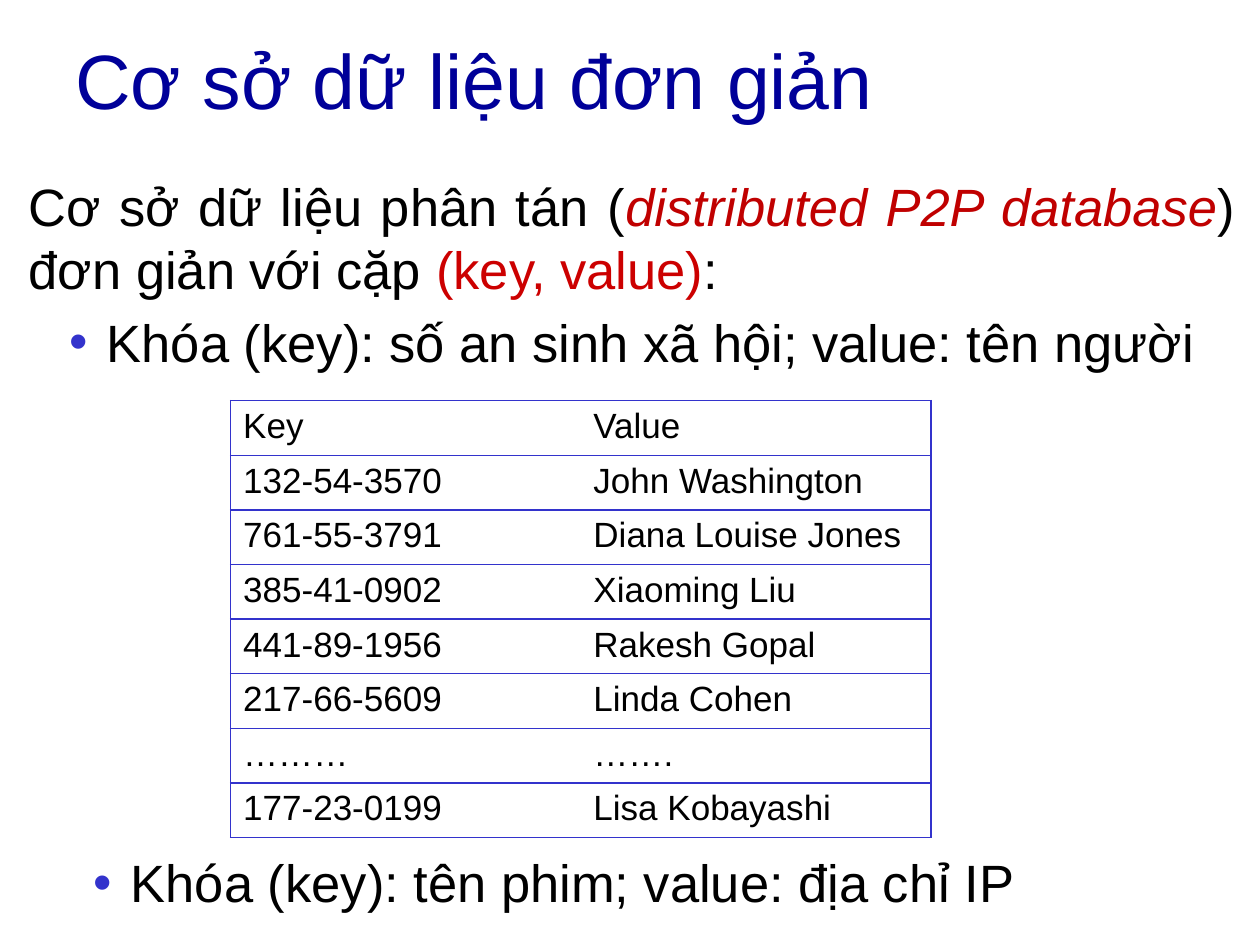
from dataclasses import dataclass

from lxml.etree import SubElement
from pptx import Presentation
from pptx.dml.color import RGBColor
from pptx.enum.text import MSO_ANCHOR, PP_ALIGN
from pptx.oxml.ns import qn
from pptx.util import Inches, Pt


@dataclass(frozen=True)
class Theme:
    font: str = "Arial"
    title_size: int = 44
    body_size: int = 30
    table_size: int = 20
    ink: str = "000000"
    title: str = "000099"
    accent: str = "3333CC"
    term: str = "C00000"
    pair: str = "CC0000"
    paper: str = "FFFFFF"


ENTRIES = [
    ("Key", "Value"),
    ("132-54-3570", "John Washington"),
    ("761-55-3791", "Diana Louise Jones"),
    ("385-41-0902", "Xiaoming Liu"),
    ("441-89-1956", "Rakesh Gopal"),
    ("217-66-5609", "Linda Cohen"),
    ("………", "……."),
    ("177-23-0199", "Lisa Kobayashi"),
]


class SlideBuilder:
    """Places elements on a grid of 100 columns by 75 rows."""

    def __init__(self, deck, theme):
        self.theme = theme
        self.slide = deck.slides.add_slide(deck.slide_layouts[6])
        self.column = deck.slide_width / 100
        self.row = deck.slide_height / 75

    def place(self, left, top, width, height):
        return (round(left * self.column), round(top * self.row),
                round(width * self.column), round(height * self.row))

    def add_spans(self, para, size, *spans):
        """Adds (text, colour, italic) spans to a paragraph."""
        for text, color, italic in spans:
            span = para.add_run()
            span.text = text
            values = {"name": self.theme.font, "size": Pt(size), "italic": italic}
            for name, value in values.items():
                setattr(span.font, name, value)
            span.font.color.rgb = RGBColor.from_string(color)

    def text_box(self, area, anchor=MSO_ANCHOR.TOP):
        frame = self.slide.shapes.add_textbox(*self.place(*area)).text_frame
        frame.word_wrap = True
        frame.vertical_anchor = anchor
        return frame

    def title(self, area, text):
        frame = self.text_box(area, MSO_ANCHOR.MIDDLE)
        self.add_spans(frame.paragraphs[0], self.theme.title_size,
                       (text, self.theme.title, False))

    def bullet(self, para, text):
        properties = para._p.get_or_add_pPr()
        for name, value in {"marL": 0.62, "indent": -0.3}.items():
            properties.set(name, str(Inches(value)))
        color = SubElement(properties, qn("a:buClr"))
        SubElement(color, qn("a:srgbClr"), val=self.theme.accent)
        SubElement(properties, qn("a:buFont"), typeface=self.theme.font)
        SubElement(properties, qn("a:buChar"), char="•")
        para.level = 1
        self.add_spans(para, self.theme.body_size, (text, self.theme.ink, False))

    def borders(self, cell, sides):
        """Draws the named sides of a cell and clears the others."""
        properties = cell._tc.get_or_add_tcPr()
        for index, side in enumerate("LRTB"):
            line = properties.makeelement(qn(f"a:ln{side}"), {"w": str(Pt(1))})
            if side in sides:
                fill = SubElement(line, qn("a:solidFill"))
                SubElement(fill, qn("a:srgbClr"), val=self.theme.accent)
            else:
                SubElement(line, qn("a:noFill"))
            properties.insert(index, line)

    def table(self, area, rows):
        table = self.slide.shapes.add_table(
            len(rows), len(rows[0]), *self.place(*area)).table
        table.first_row = table.horz_banding = False
        for row_index, row in enumerate(rows):
            for column_index, text in enumerate(row):
                cell = table.cell(row_index, column_index)
                cell.fill.solid()
                cell.fill.fore_color.rgb = RGBColor.from_string(self.theme.paper)
                self.add_spans(cell.text_frame.paragraphs[0], self.theme.table_size,
                               (text, self.theme.ink, False))
                self.borders(cell, "LTB" if column_index == 0 else "RTB")


def main():
    deck = Presentation()
    deck.slide_width, deck.slide_height = Inches(10), Inches(7.5)
    theme = Theme()
    builder = SlideBuilder(deck, theme)

    builder.table((18.3, 31.8, 55.6, 34.7), ENTRIES)

    intro = builder.text_box((1.3, 13.3, 97.7, 17.5))
    statement = intro.paragraphs[0]
    builder.add_spans(
        statement, theme.body_size,
        ("Cơ sở dữ liệu phân tán (", theme.ink, False),
        ("distributed P2P database", theme.term, True),
        (") đơn giản với cặp ", theme.ink, False),
        ("(key, value)", theme.pair, False),
        (":", theme.ink, False))
    example = intro.add_paragraph()
    builder.bullet(example, "Khóa (key): số an sinh xã hội; value: tên người")
    example.space_before = Pt(6)
    for para in intro.paragraphs:
        para.alignment = PP_ALIGN.JUSTIFY

    builder.title((5, 0, 90, 12.5), "Cơ sở dữ liệu đơn giản")

    closing = builder.text_box((3.2, 67, 95.8, 6))
    builder.bullet(closing.paragraphs[0], "Khóa (key): tên phim; value: địa chỉ IP")

    deck.save("out.pptx")


if __name__ == "__main__":
    main()
